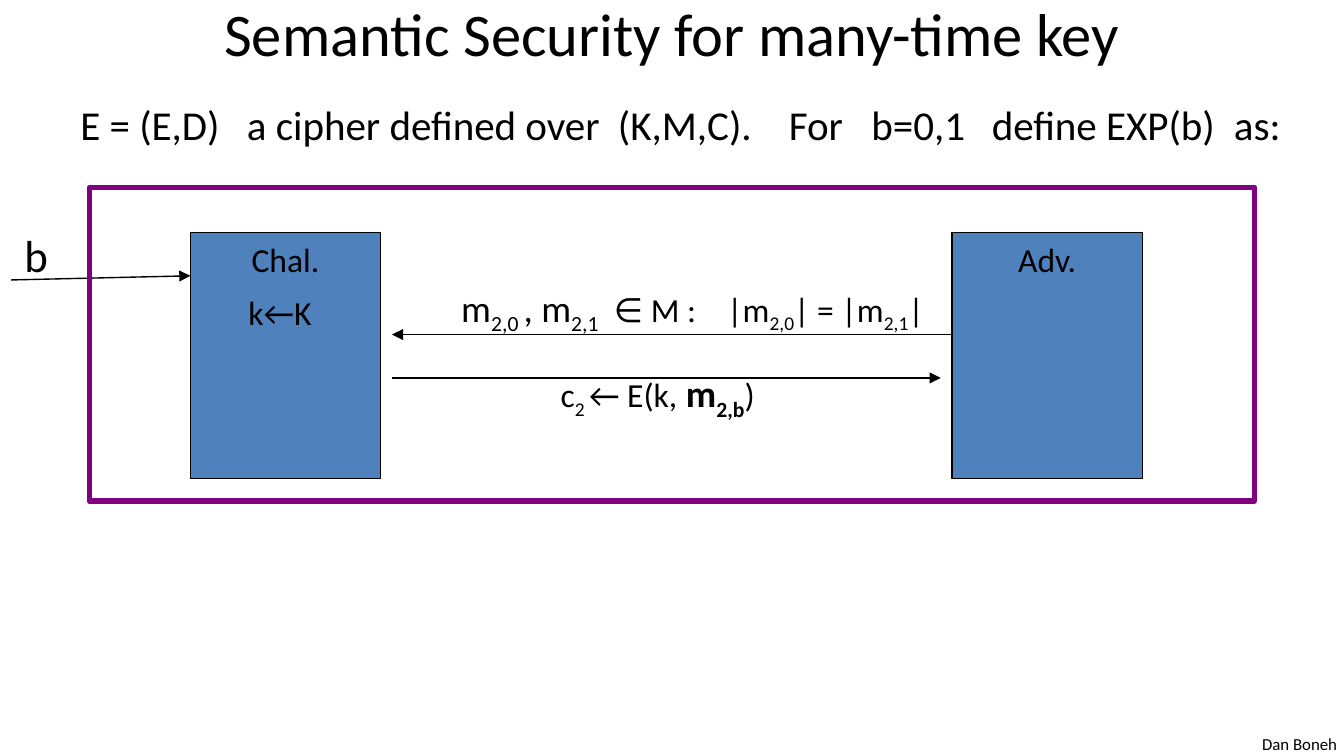
"""Build the slide on semantic security for a many-time key."""
from lxml.etree import SubElement
from pptx import Presentation
from pptx.dml.color import RGBColor
from pptx.enum.shapes import MSO_CONNECTOR, MSO_SHAPE
from pptx.enum.text import MSO_ANCHOR, MSO_AUTO_SIZE, PP_ALIGN
from pptx.oxml.ns import qn
from pptx.util import Pt

PX = 9525
SLIDE = (960, 540)
THEME = {
    "font": "Calibri",
    "ink": RGBColor(0x00, 0x00, 0x00),
    "box": RGBColor(0x4F, 0x81, 0xBD),
    "frame": RGBColor(0x80, 0x00, 0x80),
    "title": 32.4, "bit": 24, "intro": 22, "strong": 20, "label": 18, "footer": 9,
    "thin": 0.75, "thick": 3,
}

TITLE = ("Semantic Security for many-time key", (48, -10, 864, 66))
FRAME = (64, 134, 832, 224)
BOX_TOP, BOX_SIZE = 166, (136, 176)
PARTIES = [("Chal.", 136), ("Adv.", 680)]
ARROWS = [
    ((8, 200), (136, 197)),
    ((680, 239), (280, 239)),
    ((280, 270), (672, 270)),
]
INTRO = "E = (E,D)\ta cipher defined over\t(K,M,C).\tFor\tb=0,1\tdefine EXP(b)\tas:"
QUERY = [
    ("m", "strong"), ("2,0 ", "strong", "sub"), (", m", "strong"),
    ("2,1", "strong", "sub"), ("\t∈ M :\t|m", "label"), ("2,0", "label", "sub"),
    ("| = |m", "label"), ("2,1", "label", "sub"), ("|", "label"),
]
REPLY = [
    ("c", "label"), ("2 ", "label", "sub"), ("← E(k,", "label"),
    (" m", "strong", "bold"), ("2,b", "strong", "bold", "sub"), (")", "label"),
]
TEXTS = [
    ([("Dan Boneh", "footer")], (892, 519, 73, 24), ()),
    ([(INTRO, "intro")], (48, 70, 912, 50), (119, 384, 506, 565, 651, 824)),
    ([("b", "bit")], (8, 158, 36, 48), ()),
    ([("k←K", "label")], (168, 204, 67, 38), ()),
    (QUERY, (320, 199, 359, 42), (109, 190)),
    (REPLY, (391, 260, 168, 42), ()),
]


def apply(target, **values):
    for name, value in values.items():
        setattr(target, name, value)


def scaled(*lengths):
    return [n * PX for n in lengths]


def write(tf, runs, tabs=(), align=PP_ALIGN.LEFT, **frame):
    apply(tf, auto_size=MSO_AUTO_SIZE.NONE, **frame)
    p = tf.paragraphs[0]
    p.alignment = align
    if tabs:
        tab_list = SubElement(p._p.get_or_add_pPr(), qn("a:tabLst"))
        for pos in tabs:
            SubElement(tab_list, qn("a:tab"), pos=str(pos * PX), algn="l")
    for text, size, *marks in runs:
        r = p.add_run()
        r.text = text
        apply(r.font, name=THEME["font"], size=Pt(THEME[size]), bold="bold" in marks)
        r.font.color.rgb = THEME["ink"]
        if "sub" in marks:
            r.font._element.set("baseline", "-25000")
    return p


def add_rect(s, place, line, width, fill=None):
    sp = s.shapes.add_shape(MSO_SHAPE.RECTANGLE, *scaled(*place))
    sp.shadow.inherit = False
    if fill is None:
        sp.fill.background()
    else:
        sp.fill.solid()
        sp.fill.fore_color.rgb = THEME[fill]
    sp.line.color.rgb = THEME[line]
    sp.line.width = Pt(THEME[width])
    return sp


def add_arrow(s, start, end):
    cx = s.shapes.add_connector(MSO_CONNECTOR.STRAIGHT, *scaled(*start, *end))
    cx.line.color.rgb = THEME["ink"]
    cx.line.width = Pt(THEME["thin"])
    SubElement(cx.line._get_or_add_ln(), qn("a:tailEnd"), type="triangle")
    SubElement(cx._element.spPr, qn("a:effectLst"))


def main():
    prs = Presentation()
    prs.slide_width, prs.slide_height = scaled(*SLIDE)
    s = prs.slides.add_slide(prs.slide_layouts[5])

    text, place = TITLE
    title = s.shapes.title
    apply(title, **dict(zip(("left", "top", "width", "height"), scaled(*place))))
    write(title.text_frame, [(text, "title")], align=PP_ALIGN.CENTER,
          vertical_anchor=MSO_ANCHOR.MIDDLE, word_wrap=True)

    for name, left in PARTIES:
        sp = add_rect(s, (left, BOX_TOP, *BOX_SIZE), "ink", "thin", "box")
        write(sp.text_frame, [(name, "label")], align=PP_ALIGN.CENTER,
              vertical_anchor=MSO_ANCHOR.TOP, word_wrap=False)
    for start, end in ARROWS:
        add_arrow(s, start, end)
    for runs, place, tabs in TEXTS:
        tb = s.shapes.add_textbox(*scaled(*place))
        p = write(tb.text_frame, runs, tabs, word_wrap=bool(tabs))
        if runs[0][1] == "intro":
            p.line_spacing = 0.9
    add_rect(s, FRAME, "frame", "thick")

    prs.save("out.pptx")


if __name__ == "__main__":
    main()
